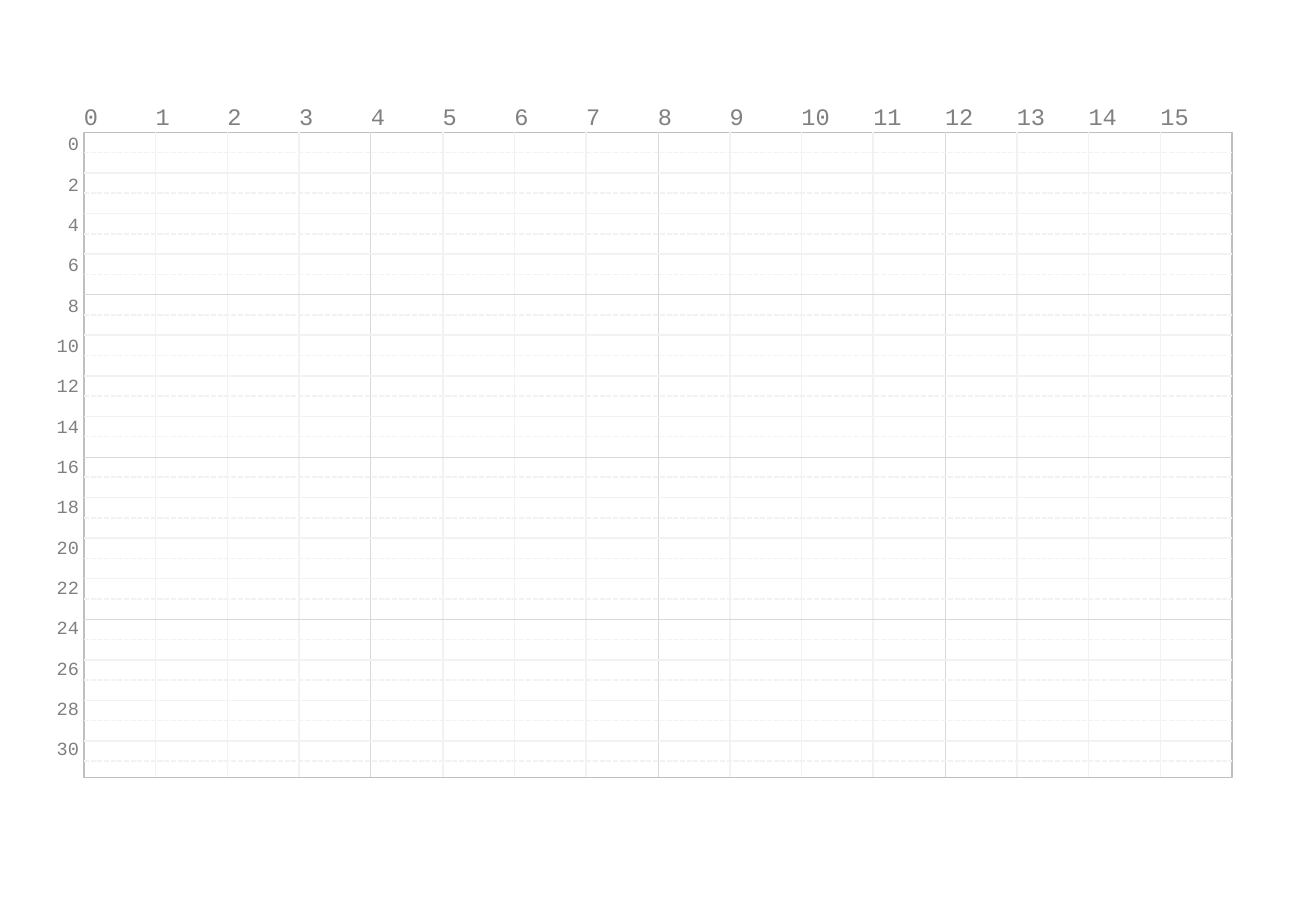
from dataclasses import dataclass
from typing import Optional

from pptx import Presentation
from pptx.dml.color import RGBColor
from pptx.enum.dml import MSO_LINE_DASH_STYLE as Dash
from pptx.enum.shapes import MSO_CONNECTOR as Connector, MSO_SHAPE as Preset
from pptx.enum.text import MSO_AUTO_SIZE as AutoSize, PP_ALIGN as Align
from pptx.oxml.ns import qn
from pptx.util import Inches, Pt
from lxml.etree import SubElement


@dataclass(frozen=True)
class Theme:
    font: str = "Courier New"
    text: str = "808080"
    frame: str = "BFBFBF"
    major: str = "D9D9D9"
    minor: str = "F2F2F2"
    column_size: float = 14
    row_size: float = 11
    thick: float = 1
    thin: float = 0.5


@dataclass(frozen=True)
class Grid:
    left: float = 0.69
    top: float = 1.09
    width: float = 9.45
    height: float = 5.31
    columns: int = 16
    rows: int = 16
    row_pitch: float = 0.334
    label_pitch: float = 0.332

    @property
    def column_pitch(self) -> float:
        return self.width / self.columns

    def x(self, column: float) -> float:
        return self.left + column * self.column_pitch

    def y(self, row: float) -> float:
        return self.top + row * self.row_pitch


@dataclass(frozen=True)
class Rule:
    start: tuple[float, float]
    end: tuple[float, float]
    major: bool = False
    dash: Optional[Dash] = None


@dataclass(frozen=True)
class Label:
    text: str
    box: tuple[float, float, float, float]
    size: float
    align: Align
    frame_format: dict


THEME = Theme()
GRID = Grid()
COLUMN_FORMAT = {
    "margin_left": 0, "margin_top": Inches(0.05),
    "margin_right": Inches(0.1), "margin_bottom": Inches(0.05),
    "word_wrap": True, "auto_size": AutoSize.SHAPE_TO_FIT_TEXT,
}
ROW_FORMAT = {
    "margin_left": 0, "margin_top": 0,
    "margin_right": Inches(0.04), "margin_bottom": Inches(0.05),
    "word_wrap": True, "auto_size": AutoSize.NONE,
}


def apply_format(target, values: dict) -> None:
    for name, value in values.items():
        setattr(target, name, value)


def draw_frame(shapes):
    box = map(Inches, (GRID.left, GRID.top, GRID.width, GRID.height))
    frame = shapes.add_shape(Preset.RECTANGLE, *box)
    frame.shadow.inherit = False
    frame.fill.background()
    frame.line.color.rgb = RGBColor.from_string(THEME.frame)
    frame.line.width = Pt(THEME.thick)
    return frame


def draw_rule(shapes, rule: Rule):
    ends = map(Inches, (*rule.start, *rule.end))
    connector = shapes.add_connector(Connector.STRAIGHT, *ends)
    color, width = ((THEME.major, THEME.thin) if rule.major
                    else (THEME.minor, THEME.thick))
    connector.line.color.rgb = RGBColor.from_string(color)
    apply_format(connector.line, {"width": Pt(width), "dash_style": rule.dash})
    SubElement(connector._element.spPr, qn("a:effectLst"))
    return connector


def draw_label(shapes, label: Label) -> None:
    text_frame = shapes.add_textbox(*map(Inches, label.box)).text_frame
    apply_format(text_frame, label.frame_format)
    paragraph = text_frame.paragraphs[0]
    paragraph.alignment = label.align
    run = paragraph.add_run()
    run.text = label.text
    apply_format(run.font, {"name": THEME.font, "size": Pt(label.size)})
    run.font.color.rgb = RGBColor.from_string(THEME.text)


def column_rule(column: int) -> Rule:
    x = GRID.x(column)
    return Rule((x, GRID.top), (x, GRID.top + GRID.height), column % 4 == 0)


def row_rule(row: float, dash: Optional[Dash] = None) -> Rule:
    y = GRID.y(row)
    return Rule((GRID.left, y), (GRID.left + GRID.width, y), row % 4 == 0, dash)


def column_label(column: int) -> Label:
    box = (GRID.x(column), GRID.top - 0.3, GRID.column_pitch, 0.34)
    return Label(str(column), box, THEME.column_size, Align.LEFT, COLUMN_FORMAT)


def row_label(row: int) -> Label:
    box = (GRID.left - 0.45, GRID.top + row * GRID.label_pitch, 0.45, 0.33)
    return Label(str(2 * row), box, THEME.row_size, Align.RIGHT, ROW_FORMAT)


def main() -> None:
    presentation = Presentation()
    apply_format(presentation, {"slide_width": Inches(10.83),
                                "slide_height": Inches(7.5)})
    slide = presentation.slides.add_slide(presentation.slide_layouts[6])
    shapes = slide.shapes

    # Frame and solid grid; the central column rule is joined to the frame
    frame = draw_frame(shapes)
    for column in range(1, GRID.columns):
        connector = draw_rule(shapes, column_rule(column))
        if 2 * column == GRID.columns:
            connector.begin_connect(frame, 0)
            connector.end_connect(frame, 2)
    for row in range(1, GRID.rows):
        draw_rule(shapes, row_rule(row))

    # Column numbers in one group, then row numbers
    column_group = shapes.add_group_shape()
    for column in range(GRID.columns):
        draw_label(column_group.shapes, column_label(column))
    for row in range(GRID.rows):
        draw_label(shapes, row_label(row))

    # Dashed half-row rules
    for row in range(GRID.rows):
        draw_rule(shapes, row_rule(row + 0.5, Dash.SQUARE_DOT))

    presentation.save("out.pptx")


if __name__ == "__main__":
    main()
